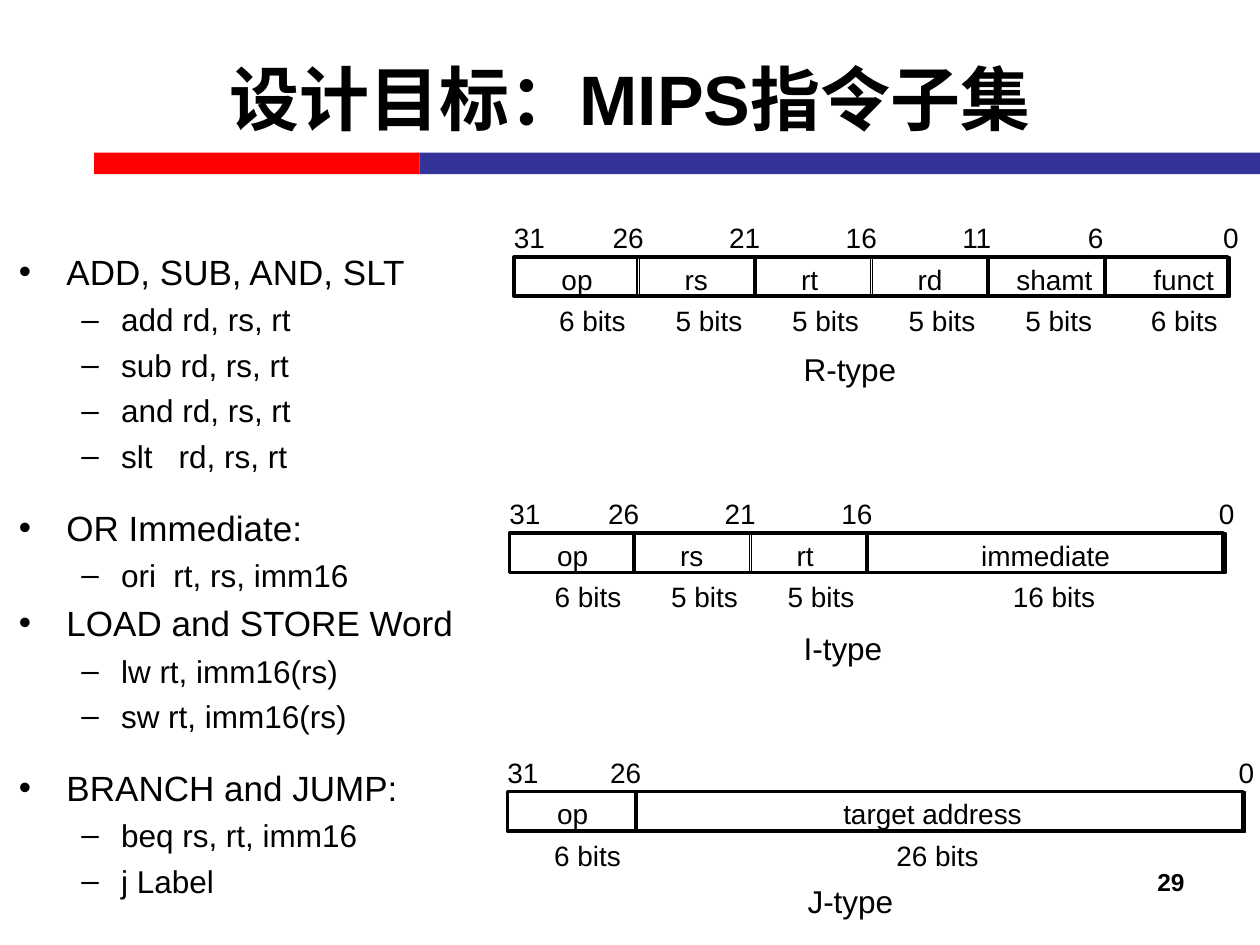
from lxml import etree
from pptx import Presentation
from pptx.dml.color import RGBColor
from pptx.enum.shapes import MSO_SHAPE
from pptx.enum.text import MSO_ANCHOR, MSO_AUTO_SIZE, PP_ALIGN
from pptx.oxml.ns import qn
from pptx.util import Cm, Pt

RECT = MSO_SHAPE.RECTANGLE
MIDDLE, TOP = MSO_ANCHOR.MIDDLE, MSO_ANCHOR.TOP
FIXED = MSO_AUTO_SIZE.NONE
LEFT, CENTER, RIGHT = PP_ALIGN.LEFT, PP_ALIGN.CENTER, PP_ALIGN.RIGHT
BLACK = RGBColor(0, 0, 0)
RED = RGBColor(0xFF, 0, 0)
BLUE = RGBColor(0x33, 0x33, 0x99)
FACE = "Arial"
GAP = 0.04

LEVELS = [
    {"char": "•", "size": 20, "margin": 0.96, "indent": -0.96},
    {"char": "–", "size": 18, "margin": 2.06, "indent": -0.8},
]
ITEMS = [
    (0, 0, "ADD, SUB, AND, SLT"),
    (1, 4.4, "add rd, rs, rt"),
    (1, 4.4, "sub rd, rs, rt"),
    (1, 4.4, "and rd, rs, rt"),
    (1, 4.4, "slt   rd, rs, rt"),
    (0, 18, "OR Immediate:"),
    (1, 4.4, "ori  rt, rs, imm16"),
    (0, 4.8, "LOAD and STORE Word"),
    (1, 4.4, "lw rt, imm16(rs)"),
    (1, 4.4, "sw rt, imm16(rs)"),
    (0, 18, "BRANCH and JUMP:"),
    (1, 4.4, "beq rs, rt, imm16"),
    (1, 4.4, "j Label"),
]

# Field: name, high bit, bit count, cell width, name offset, name width, count offset
OP = ("op", 31, 6, 2.49, 0.71, 1.14, 0.66)
RS = ("rs", 25, 5, 2.31, 0.66, 0.99, 0.48)
RT = ("rt", 20, 5, 2.31, 0.66, 0.86, 0.48)
RD = ("rd", 15, 5, 2.31, 0.66, 1.02, 0.48)
SHAMT = ("shamt", 10, 5, 2.31, 0.3, 2.06, 0.48)
FUNCT = ("funct", 5, 6, 2.51, 0.71, 1.75, 0.66)
IMM = ("immediate", 15, 16, 7.21, 2.03, 3.12, 2.67)
JOP = ("op", 31, 6, 2.57, 0.75, 1.14, 0.69)
TARGET = ("target address", 25, 26, 12.27, 3.91, 4.17, 4.98)
FORMATS = [
    ("R-type", 10.36, 5.18, 15.95, 6.93, [OP, RS, RT, RD, SHAMT, FUNCT]),
    ("I-type", 10.27, 10.75, 15.95, 12.55, [OP, RS, RT, IMM]),
    ("J-type", 10.23, 15.96, 16.03, 17.65, [JOP, TARGET]),
]


def put(obj, vals):
    for key, val in vals.items():
        setattr(obj, key, val)


def place(shape, left, top, width, height):
    box = {"left": left, "top": top, "width": width, "height": height}
    put(shape, {key: Cm(val) for key, val in box.items()})


def write(para, text, size, bold=False, align=LEFT):
    para.alignment = align
    run = para.add_run()
    run.text = text
    put(run.font, {"name": FACE, "size": Pt(size), "bold": bold})
    run.font.color.rgb = BLACK


def label(shapes, text, left, top, width, height=0.94, size=16, wrap=False, **style):
    box = shapes.add_textbox(Cm(left), Cm(top), Cm(width), Cm(height))
    box.text_frame.word_wrap = wrap
    write(box.text_frame.paragraphs[0], text, size, **style)


def rect(shapes, left, top, width, height, fill=None, line=None):
    shape = shapes.add_shape(RECT, Cm(left), Cm(top), Cm(width), Cm(height))
    shape.shadow.inherit = False
    if fill is None:
        shape.fill.background()
    else:
        shape.fill.solid()
        shape.fill.fore_color.rgb = fill
    if line is None:
        shape.line.fill.background()
    else:
        shape.line.color.rgb = BLACK
        shape.line.width = Pt(line)


def bullet(para, style):
    props = para._p.get_or_add_pPr()
    props.set("marL", str(Cm(style["margin"])))
    props.set("indent", str(Cm(style["indent"])))
    etree.SubElement(props, qn("a:buFont")).set("typeface", FACE)
    etree.SubElement(props, qn("a:buChar")).set("char", style["char"])


def title(shape):
    place(shape, 1.27, 0.38, 22.86, 3.18)
    frame = shape.text_frame
    put(frame, {"vertical_anchor": MIDDLE, "auto_size": FIXED})
    write(frame.paragraphs[0], "设计目标：MIPS指令子集", 40, True, CENTER)


def outline(shape):
    place(shape, 0.2, 4.83, 9.6, 13.34)
    frame = shape.text_frame
    put(frame, {
        "auto_size": FIXED, "vertical_anchor": TOP, "word_wrap": True,
        "margin_left": Cm(0.18), "margin_right": Cm(0.18),
        "margin_top": Cm(0.22), "margin_bottom": Cm(0.08),
    })
    for num, (level, space, text) in enumerate(ITEMS):
        para = frame.add_paragraph() if num else frame.paragraphs[0]
        style = LEVELS[level]
        bullet(para, style)
        put(para, {"level": level, "space_before": Pt(space)})
        write(para, text, style["size"])


def number(shapes, bit, left, top):
    text = str(bit)
    label(shapes, text, left, top - 0.86, 1.14 if len(text) > 1 else 0.81)


def layout(shapes, left, top, fields):
    total = sum(field[3] + GAP for field in fields)
    rect(shapes, left, top, total - 0.09, 0.79, line=2)
    edge = left
    for name, high, bits, width, shift, span, inset in fields:
        rect(shapes, edge, top, width, 0.81, line=1)
        label(shapes, name, edge + shift, top - 0.02, span)
        count = f"{bits} bits"
        label(shapes, count, edge + inset, top + 0.81, 1.88 if bits < 10 else 2.18)
        if high == 31:
            number(shapes, high, edge - 0.25, top)
        else:
            number(shapes, high + 1, edge - (0.79 if high > 8 else 0.61), top)
        edge += width + GAP
    number(shapes, 0, edge - 0.43, top)


def main():
    deck = Presentation()
    put(deck, {"slide_width": Cm(25.4), "slide_height": Cm(19.05)})
    slide = deck.slides.add_slide(deck.slide_layouts[1])
    shapes = slide.shapes
    rect(shapes, 1.9, 3.08, 6.56, 0.43, fill=RED)
    rect(shapes, 8.46, 3.08, 16.94, 0.43, fill=BLUE)
    title(shapes.title)
    outline(slide.placeholders[1])
    label(shapes, "29", 18.2, 17.35, 5.93, 1.32, 14, True, bold=True, align=RIGHT)
    for name, left, top, tag, base, fields in FORMATS:
        layout(shapes.add_group_shape().shapes, left, top, fields)
        label(shapes, name, tag, base, 3.94, 1.02, 18, True)
    deck.save("out.pptx")


if __name__ == "__main__":
    main()
